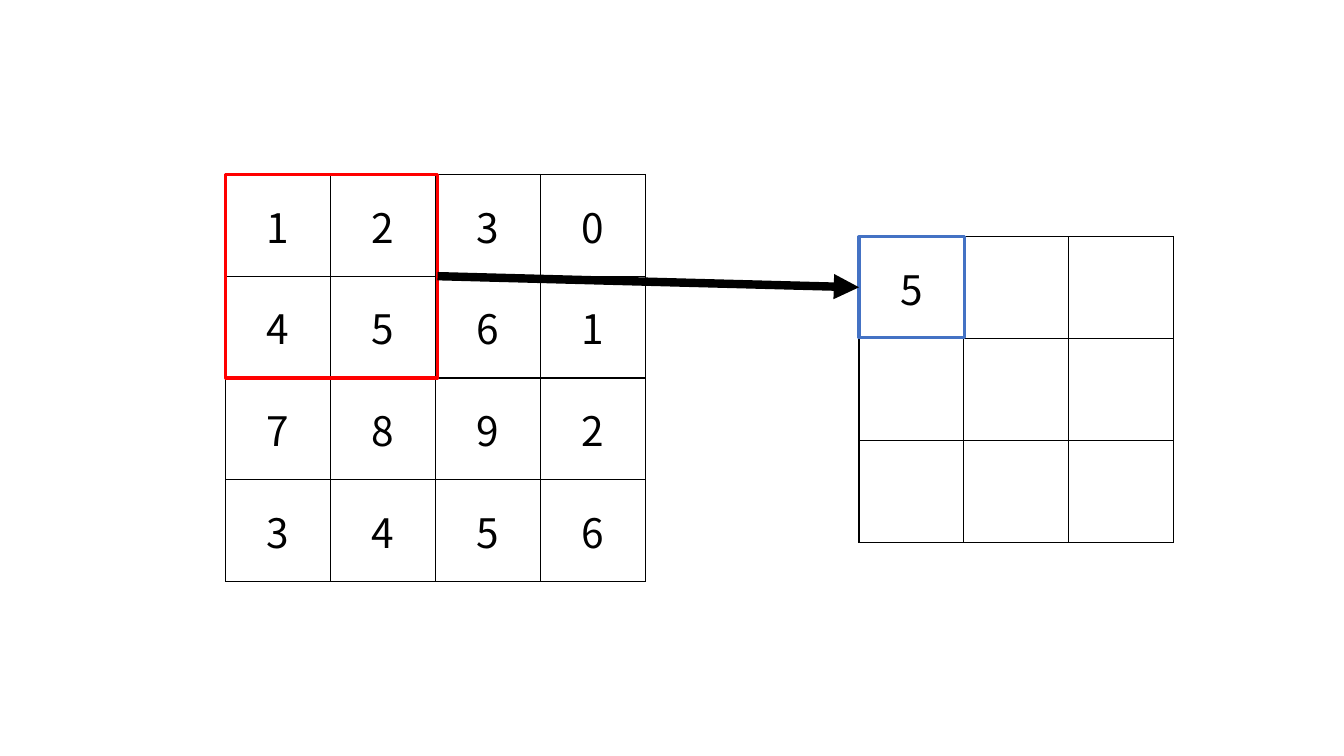
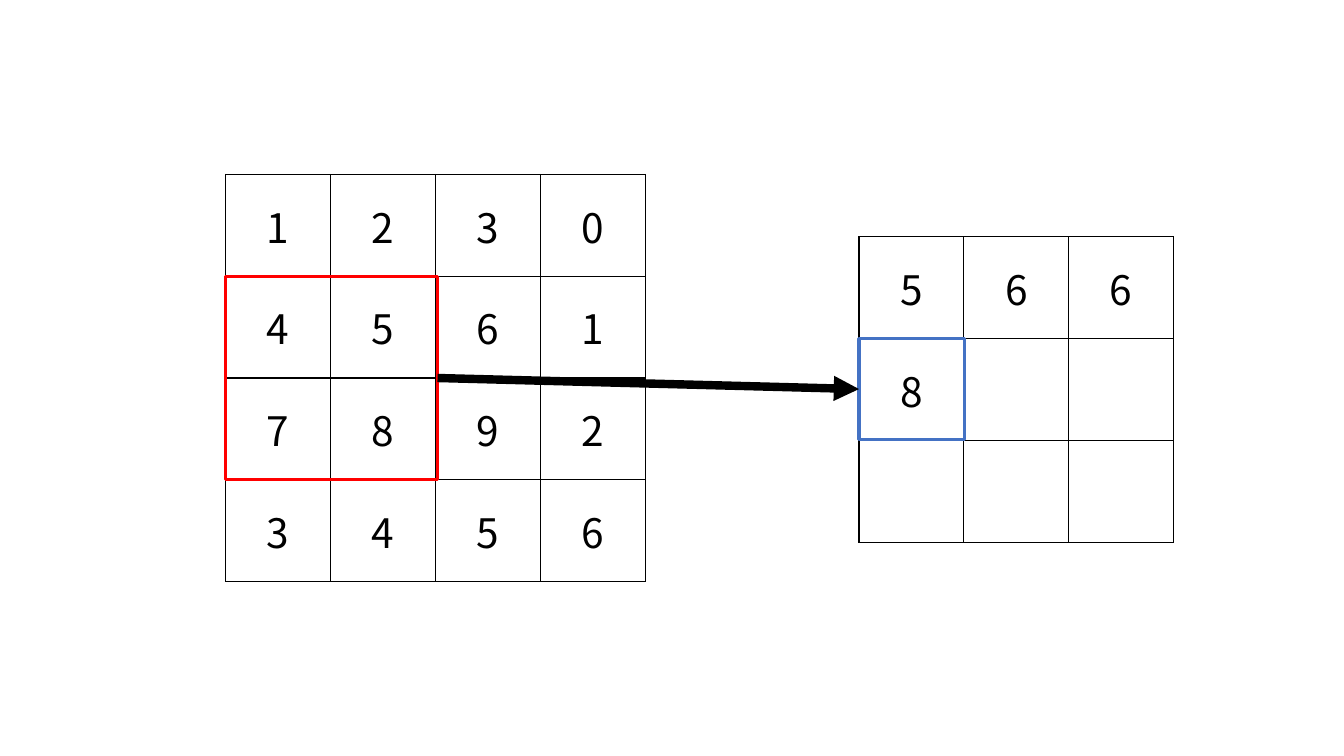
from dataclasses import dataclass

import lxml.etree
import pptx
import pptx.dml.color
import pptx.enum.shapes
import pptx.enum.text
import pptx.oxml
import pptx.oxml.ns
import pptx.util

Inches = pptx.util.Inches
Pt = pptx.util.Pt
RGBColor = pptx.dml.color.RGBColor
qn = pptx.oxml.ns.qn


@dataclass(frozen=True)
class Theme:
    font: str = "Noto Sans CJK SC"
    number_size: float = 29
    ink: str = "000000"
    window: str = "FF0000"
    result: str = "4472C4"
    grid_width: float = 1
    frame_width: float = 2.25
    arrow_width: float = 6


theme = Theme()
CELL_W, CELL_H = 1.04, 1.01
INPUT_LEFT, INPUT_TOP = 2.24, 1.73
OUTPUT_LEFT, OUTPUT_TOP = 8.52, 2.35
WINDOW_W, WINDOW_H = 2.1, 2.02
RESULT_W, RESULT_H = 1.05, 1

matrix = ["1230", "4561", "7892", "3456"]
steps = [
    (0, ["5  ", "   ", "   "]),
    (1, ["566", "8  ", "   "]),
]


def add_grid(slide, left, top, rows):
    count = len(rows)
    grid = slide.shapes.add_table(
        count, count, Inches(left), Inches(top),
        Inches(count * CELL_W), Inches(count * CELL_H)).table
    grid.first_row = grid.horz_banding = False
    for column in grid.columns:
        column.width = Inches(CELL_W)
    for row, values in zip(grid.rows, rows):
        row.height = Inches(CELL_H)
        for cell, value in zip(row.cells, values):
            cell.fill.background()
            cell.vertical_anchor = pptx.enum.text.MSO_ANCHOR.MIDDLE
            cell.margin_left = cell.margin_right = Inches(0.16)
            cell.margin_top = cell.margin_bottom = Inches(0.08)
            properties = cell._tc.get_or_add_tcPr()
            for position, side in enumerate(["lnL", "lnR", "lnT", "lnB"]):
                border = lxml.etree.Element(qn(f"a:{side}"), w=str(Pt(theme.grid_width)))
                paint = lxml.etree.SubElement(border, qn("a:solidFill"))
                lxml.etree.SubElement(paint, qn("a:srgbClr"), val=theme.ink)
                properties.insert(position, border)
            paragraph = cell.text_frame.paragraphs[0]
            paragraph.text = value.strip()
            paragraph.alignment = pptx.enum.text.PP_ALIGN.CENTER
            paragraph.font.size = Pt(theme.number_size)
            for run in paragraph.runs:
                run.font.name = theme.font
                run.font.size = Pt(theme.number_size)
                run.font.color.rgb = RGBColor.from_string(theme.ink)


def add_frame(slide, left, top, width, height, color):
    frame = slide.shapes.add_shape(
        pptx.enum.shapes.MSO_SHAPE.RECTANGLE,
        Inches(left), Inches(top), Inches(width), Inches(height))
    frame.shadow.inherit = False
    frame.fill.background()
    frame.line.color.rgb = RGBColor.from_string(color)
    frame.line.width = Pt(theme.frame_width)


presentation = pptx.Presentation()
presentation.slide_width = Inches(13.33)
presentation.slide_height = Inches(7.5)

for step_row, output in steps:
    slide = presentation.slides.add_slide(presentation.slide_layouts[6])
    add_grid(slide, INPUT_LEFT, INPUT_TOP, matrix)
    add_grid(slide, OUTPUT_LEFT, OUTPUT_TOP, output)

    window_top = INPUT_TOP + step_row * CELL_H
    result_top = OUTPUT_TOP + step_row * CELL_H
    add_frame(slide, INPUT_LEFT, window_top, WINDOW_W, WINDOW_H, theme.window)
    add_frame(slide, OUTPUT_LEFT, result_top, RESULT_W, RESULT_H, theme.result)

    arrow = slide.shapes.add_connector(
        pptx.enum.shapes.MSO_CONNECTOR.STRAIGHT,
        Inches(INPUT_LEFT + WINDOW_W), Inches(window_top + WINDOW_H / 2),
        Inches(OUTPUT_LEFT), Inches(result_top + RESULT_H / 2))
    arrow.line.color.rgb = RGBColor.from_string(theme.ink)
    arrow.line.width = Pt(theme.arrow_width)
    lxml.etree.SubElement(arrow.line._get_or_add_ln(), qn("a:tailEnd"), type="triangle")
    lxml.etree.SubElement(arrow._element.spPr, qn("a:effectLst"))

presentation.save("out.pptx")
